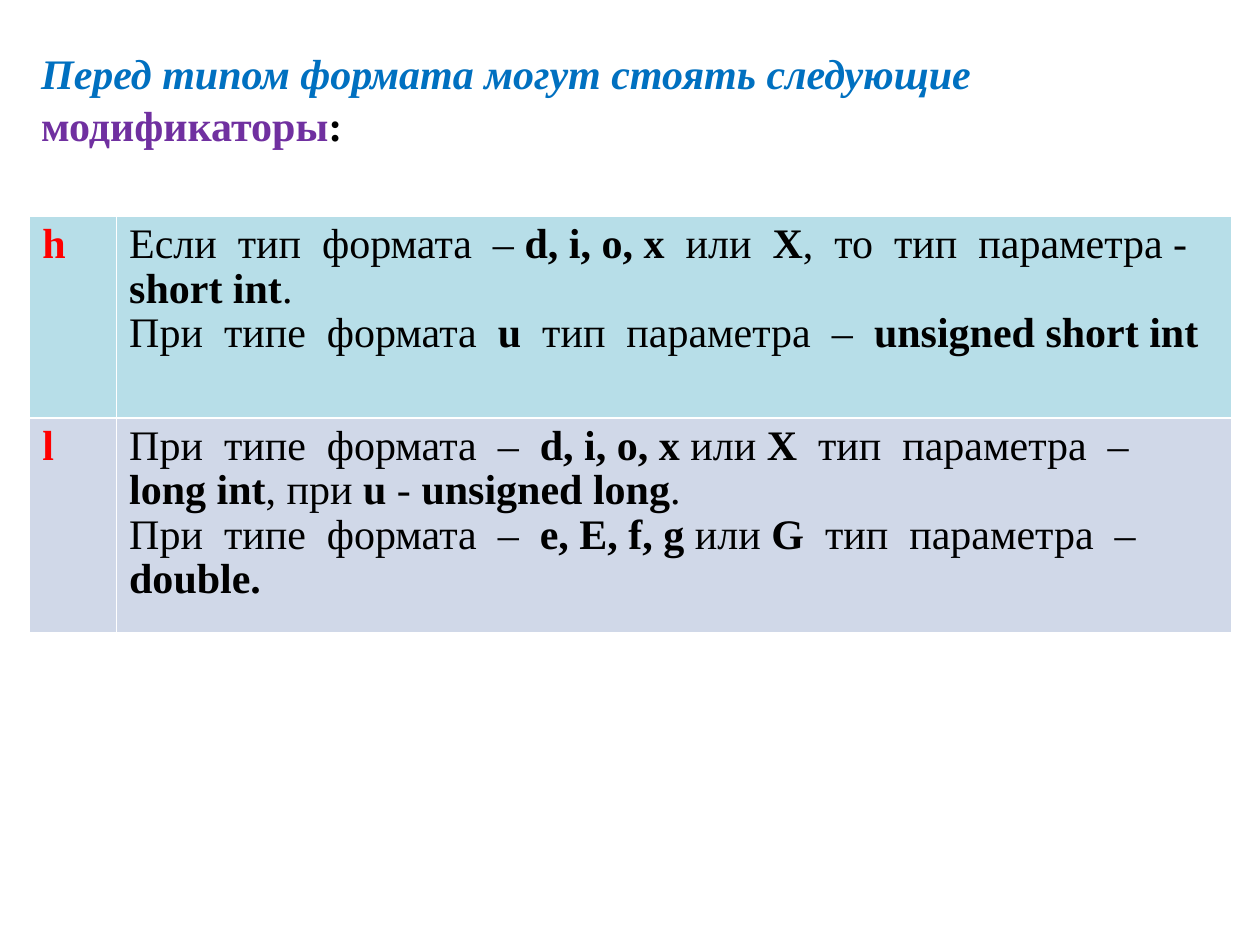
from dataclasses import dataclass

from lxml import etree
from pptx import Presentation
from pptx import util as u
from pptx.dml.color import RGBColor
from pptx.enum import text
from pptx.oxml import ns

FONT = "Times New Roman"
COLORS = {
    "blue": "0070C0",
    "purple": "7030A0",
    "black": "000000",
    "red": "FF0000",
    "white": "FFFFFF",
    "aqua": "B7DEE8",
    "lavender": "D0D8E8",
}
THIN, THICK = 0.45, 1.47


@dataclass
class Modifier:
    letter: str
    lines: list[str]  # bold parts stand between asterisks
    fill: str
    height: float
    top_border: float
    bottom_border: float


MODIFIERS = [
    Modifier("h", [
        "Если  тип  формата  – *d, i, o, x*  или  *X*,  то  тип  параметра - *short int*.",
        "При  типе  формата  *u*  тип  параметра  –  *unsigned short int*",
    ], "aqua", 4.06, THIN, THICK),
    Modifier("l", [
        "При  типе  формата  –  *d, i, o, x* или *X*  тип  параметра  –  "
        "*long int*, при *u* - *unsigned long*.",
        "При  типе  формата  –  *e, E, f, g *или *G*  тип  параметра  –  *double.*",
    ], "lavender", 4.32, THICK, THIN),
]


def add_text(paragraph, content: str, *, color: str = "black",
             bold: bool = False, italic: bool = False) -> None:
    run = paragraph.add_run()
    run.text = content
    run.font.name = FONT
    run.font.size = u.Pt(24)
    run.font.bold = bold
    run.font.italic = italic
    run.font.color.rgb = RGBColor.from_string(COLORS[color])


def format_paragraph(paragraph, spacing: float) -> None:
    paragraph.alignment = text.PP_ALIGN.LEFT
    paragraph.line_spacing = spacing


def fill_cell(cell, lines: list[str], modifier: Modifier, **style) -> None:
    """Write lines with marked bold parts, then colour and border the cell."""
    frame = cell.text_frame
    for index, line in enumerate(lines):
        paragraph = frame.add_paragraph() if index else frame.paragraphs[0]
        format_paragraph(paragraph, 0.96)
        for position, part in enumerate(line.split("*")):
            if part:
                add_text(paragraph, part, bold=position % 2 == 1, **style)

    properties = cell._tc.get_or_add_tcPr()
    widths = {"lnL": THIN, "lnR": THIN,
              "lnT": modifier.top_border, "lnB": modifier.bottom_border}
    for tag, width in widths.items():
        border = etree.SubElement(properties, ns.qn(f"a:{tag}"), w=str(u.Pt(width)))
        solid = etree.SubElement(border, ns.qn("a:solidFill"))
        etree.SubElement(solid, ns.qn("a:srgbClr"), val=COLORS["white"])
    cell.fill.solid()
    cell.fill.fore_color.rgb = RGBColor.from_string(COLORS[modifier.fill])


def add_heading(slide) -> None:
    box = slide.shapes.add_textbox(u.Cm(0.58), u.Cm(0.79), u.Cm(24.82), u.Cm(16.43))
    box.text_frame.word_wrap = True
    paragraph = box.text_frame.paragraphs[0]
    format_paragraph(paragraph, 1.04)
    add_text(paragraph, "Перед типом формата могут стоять следующие ",
             color="blue", bold=True, italic=True)
    add_text(paragraph, "модификаторы", color="purple", bold=True)
    add_text(paragraph, ":", bold=True)


def add_modifier_table(slide, modifiers: list[Modifier]) -> None:
    column_widths = [1.75, 22.47]
    height = sum(modifier.height for modifier in modifiers)
    table = slide.shapes.add_table(
        len(modifiers), len(column_widths), u.Cm(0.6), u.Cm(4.37),
        u.Cm(sum(column_widths)), u.Cm(height)).table
    for column, width in zip(table.columns, column_widths):
        column.width = u.Cm(width)
    for index, modifier in enumerate(modifiers):
        table.rows[index].height = u.Cm(modifier.height)
        fill_cell(table.cell(index, 0), [f"*{modifier.letter}*"], modifier, color="red")
        fill_cell(table.cell(index, 1), modifier.lines, modifier)


def main() -> None:
    presentation = Presentation()
    presentation.slide_width, presentation.slide_height = u.Cm(25.4), u.Cm(19.05)
    slide = presentation.slides.add_slide(presentation.slide_layouts[6])
    # Heading
    add_heading(slide)
    # Modifiers and the parameter types they give
    add_modifier_table(slide, MODIFIERS)
    presentation.save("out.pptx")


if __name__ == "__main__":
    main()
